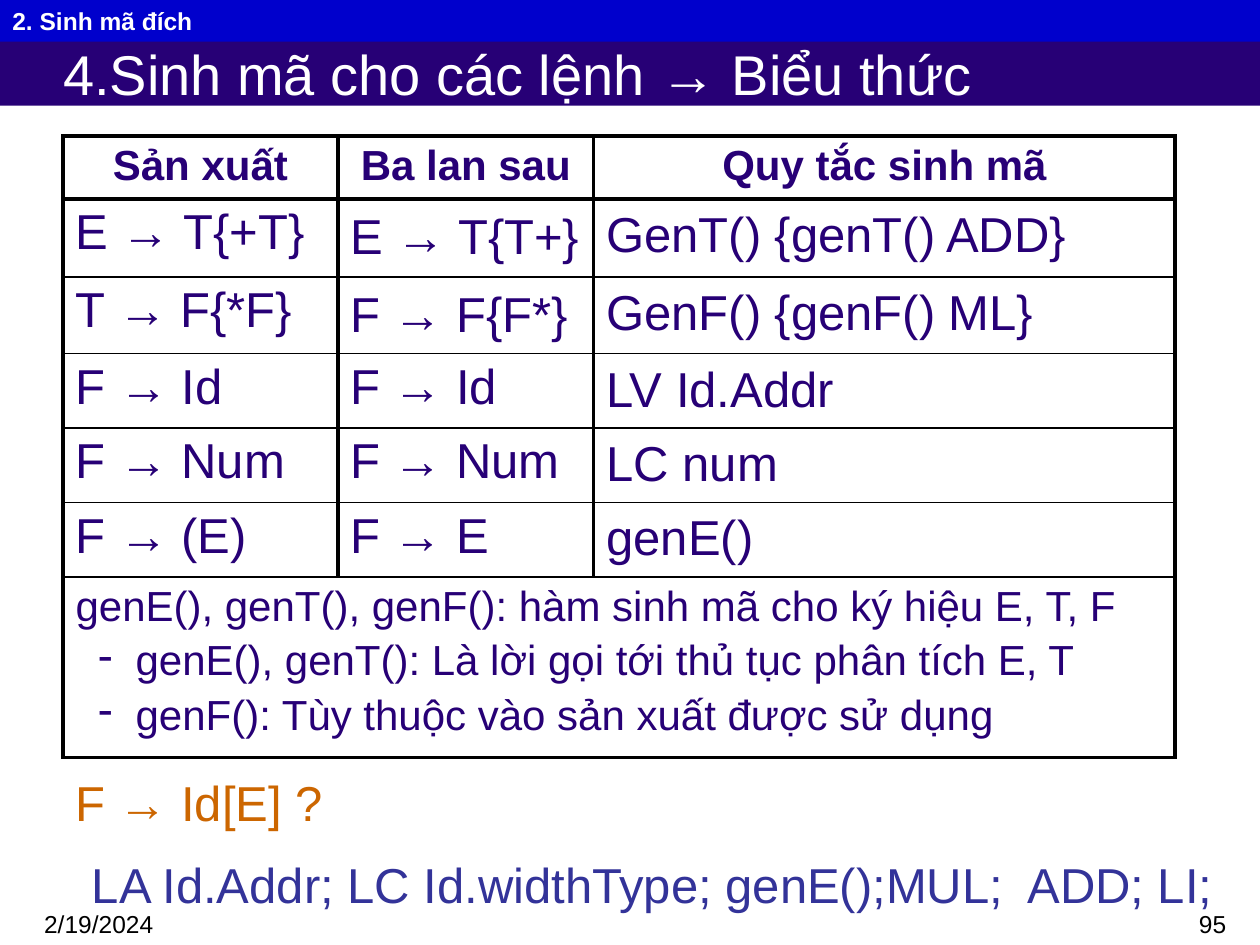
from lxml import etree
from pptx import Presentation
from pptx import util as u
from pptx.dml.color import RGBColor
from pptx.enum import shapes, text
from pptx.oxml import ns

INDIGO, BLUE, WHITE, BLACK = "270076", "0000CC", "FFFFFF", "000000"
ORANGE, VIOLET = "CC6600", "333399"
THIN, THICK = 1, 2.25

TITLE = "4.Sinh mã cho các lệnh → Biểu thức"
SECTION = "2. Sinh mã đích"
HEADERS = ["Sản xuất", "Ba lan sau", "Quy tắc sinh mã"]
RULES = [
    ("E → T{+T}", "E → T{T+}", "GenT() {genT() ADD}"),
    ("T → F{*F}", "F → F{F*}", "GenF() {genF() ML}"),
    ("F → Id", "F → Id", "LV Id.Addr"),
    ("F → Num", "F → Num", "LC num"),
    ("F → (E)", "F → E", "genE()"),
]
NOTE = "genE(), genT(), genF(): hàm sinh mã cho ký hiệu E, T, F"
NOTE_ITEMS = [
    "genE(), genT(): Là lời gọi tới thủ tục phân tích E, T",
    "genF(): Tùy thuộc vào sản xuất được sử dụng",
]
# words, (left, top, width, height) in cm, size, colour, right aligned
TEXTS = [
    ("2/19/2024", (0.64, 18.21, 4.88, 0.84), 14, BLACK, False),
    ("95", (19.69, 18.21, 5.28, 0.61), 14, BLACK, True),
    ("F → Id[E] ?", (1.27, 15.44, 6.35, 1.9), 28, ORANGE, False),
    ("LA Id.Addr; LC Id.widthType; genE();MUL;  ADD; LI;",
     (0.84, 17.1, 23.85, 1.47), 28, VIOLET, True),
]
COLUMN_WIDTHS = [5.54, 5.16, 11.72]
ROW_HEIGHTS = [1.27, 1.57, 1.55, 1.5, 1.5, 1.5, 3.64]


def rgb(colour):
    return RGBColor.from_string(colour)


def place(shape, left, top, width, height):
    shape.left, shape.top = u.Cm(left), u.Cm(top)
    shape.width, shape.height = u.Cm(width), u.Cm(height)


def paint(shape, colour):
    shape.shadow.inherit = False
    shape.fill.solid()
    shape.fill.fore_color.rgb = rgb(colour)
    shape.line.fill.background()


def write(paragraph, words, size, colour, bold=False, align=text.PP_ALIGN.LEFT):
    paragraph.alignment = align
    run = paragraph.add_run()
    run.text = words
    font = run.font
    font.name, font.size, font.bold = "Arial", u.Pt(size), bold
    font.color.rgb = rgb(colour)


def set_borders(cell, widths):
    """Draw black borders; widths are points for left, right, top, bottom."""
    properties = cell._tc.get_or_add_tcPr()
    for index, (side, width) in enumerate(zip("LRTB", widths)):
        line = etree.Element(ns.qn(f"a:ln{side}"), w=str(u.Pt(width)))
        fill = etree.SubElement(line, ns.qn("a:solidFill"))
        etree.SubElement(fill, ns.qn("a:srgbClr"), val=BLACK)
        properties.insert(index, line)


def add_dash(paragraph):
    properties = paragraph._p.get_or_add_pPr()
    properties.set("marL", str(u.Cm(1.21)))
    properties.set("indent", str(u.Cm(-0.75)))
    etree.SubElement(properties, ns.qn("a:buChar"), char="-")


def add_rules_table(slide):
    table = slide.shapes.add_table(
        len(ROW_HEIGHTS), len(COLUMN_WIDTHS), u.Cm(1.27), u.Cm(2.74),
        u.Cm(sum(COLUMN_WIDTHS)), u.Cm(sum(ROW_HEIGHTS))).table
    table.first_row = table.horz_banding = False
    for column, width in zip(table.columns, COLUMN_WIDTHS):
        column.width = u.Cm(width)
    last = len(ROW_HEIGHTS) - 1
    for index, (row, height) in enumerate(zip(table.rows, ROW_HEIGHTS)):
        row.height = u.Cm(height)
        top = THICK if index < 2 else THIN
        bottom = THICK if index in (0, last) else THIN
        for cell in row.cells:
            set_borders(cell, (THICK, THICK, top, bottom))
            cell.fill.solid()
            cell.fill.fore_color.rgb = rgb(WHITE)

    for column, words in enumerate(HEADERS):
        write(table.cell(0, column).text_frame.paragraphs[0], words, 24, INDIGO,
              True, text.PP_ALIGN.CENTER)
    for row, rule in enumerate(RULES, 1):
        spacings = (1, 1.1 if row < 3 else 1, 1.05)
        for column, (words, spacing) in enumerate(zip(rule, spacings)):
            paragraph = table.cell(row, column).text_frame.paragraphs[0]
            paragraph.line_spacing = spacing
            write(paragraph, words, 28, INDIGO)

    note = table.cell(last, 0)
    note.merge(table.cell(last, len(COLUMN_WIDTHS) - 1))
    write(note.text_frame.paragraphs[0], NOTE, 24, INDIGO)
    for words in NOTE_ITEMS:
        paragraph = note.text_frame.add_paragraph()
        paragraph.space_before = u.Pt(4.4)
        add_dash(paragraph)
        write(paragraph, words, 24, INDIGO)


def main():
    presentation = Presentation()
    presentation.slide_width, presentation.slide_height = u.Cm(25.4), u.Cm(19.05)
    slide = presentation.slides.add_slide(presentation.slide_layouts[5])

    title = slide.shapes.title
    place(title, 0, 0.81, 25.4, 1.32)
    paint(title, INDIGO)
    frame = title.text_frame
    frame.auto_size = text.MSO_AUTO_SIZE.NONE
    frame.vertical_anchor = text.MSO_ANCHOR.MIDDLE
    frame.margin_left, frame.margin_right = u.Cm(1.27), u.Cm(0.25)
    frame.margin_top = frame.margin_bottom = 0
    write(frame.paragraphs[0], TITLE, 32, WHITE)

    section = slide.shapes.add_shape(
        shapes.MSO_SHAPE.RECTANGLE, 0, 0, u.Cm(25.4), u.Cm(0.84))
    paint(section, BLUE)
    section.text_frame.vertical_anchor = text.MSO_ANCHOR.MIDDLE
    write(section.text_frame.paragraphs[0], SECTION, 14, WHITE, True)

    add_rules_table(slide)

    for words, box, size, colour, right in TEXTS:
        frame = slide.shapes.add_textbox(*map(u.Cm, box)).text_frame
        frame.word_wrap = True
        align = text.PP_ALIGN.RIGHT if right else text.PP_ALIGN.LEFT
        write(frame.paragraphs[0], words, size, colour, align=align)

    presentation.save("out.pptx")


if __name__ == "__main__":
    main()
